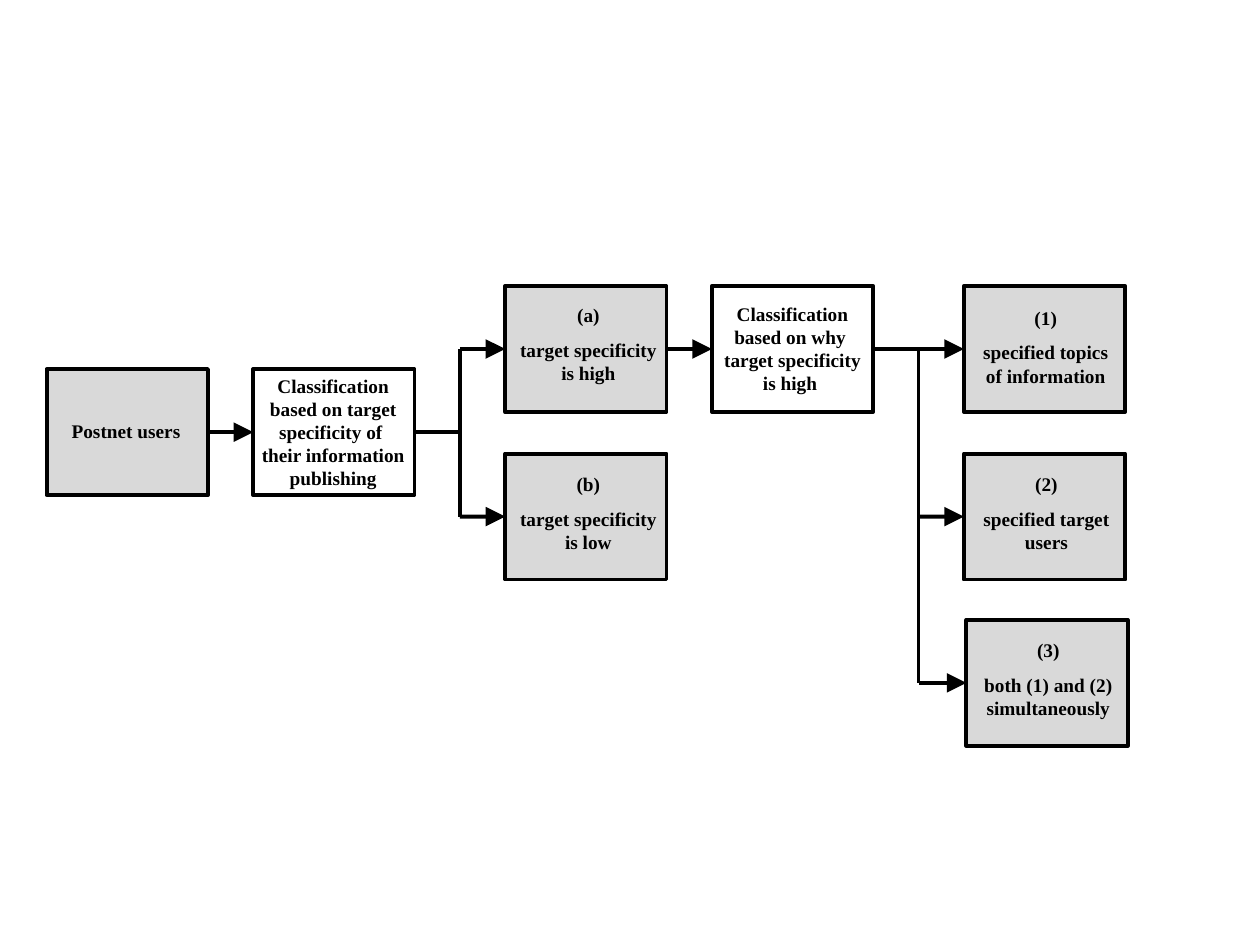
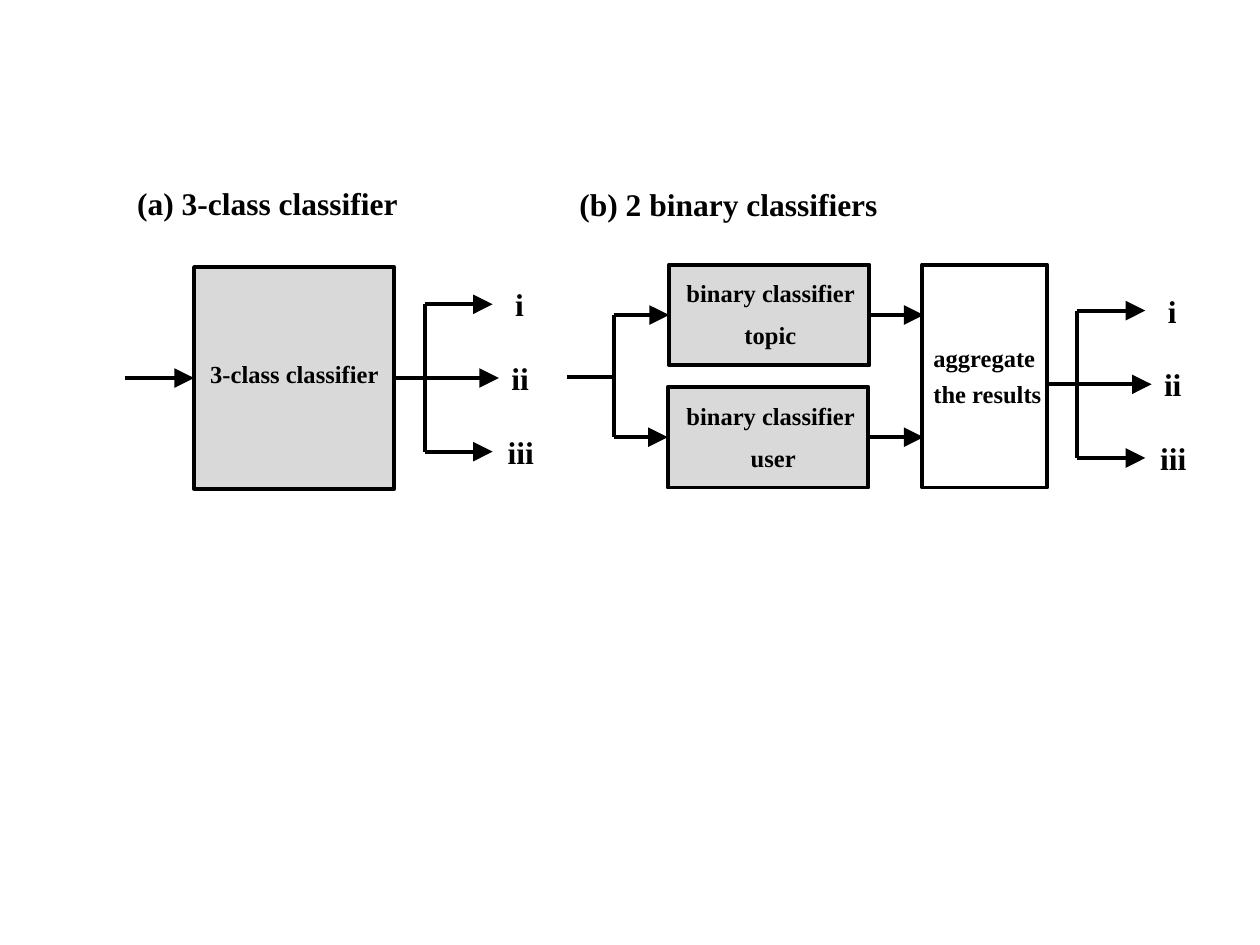
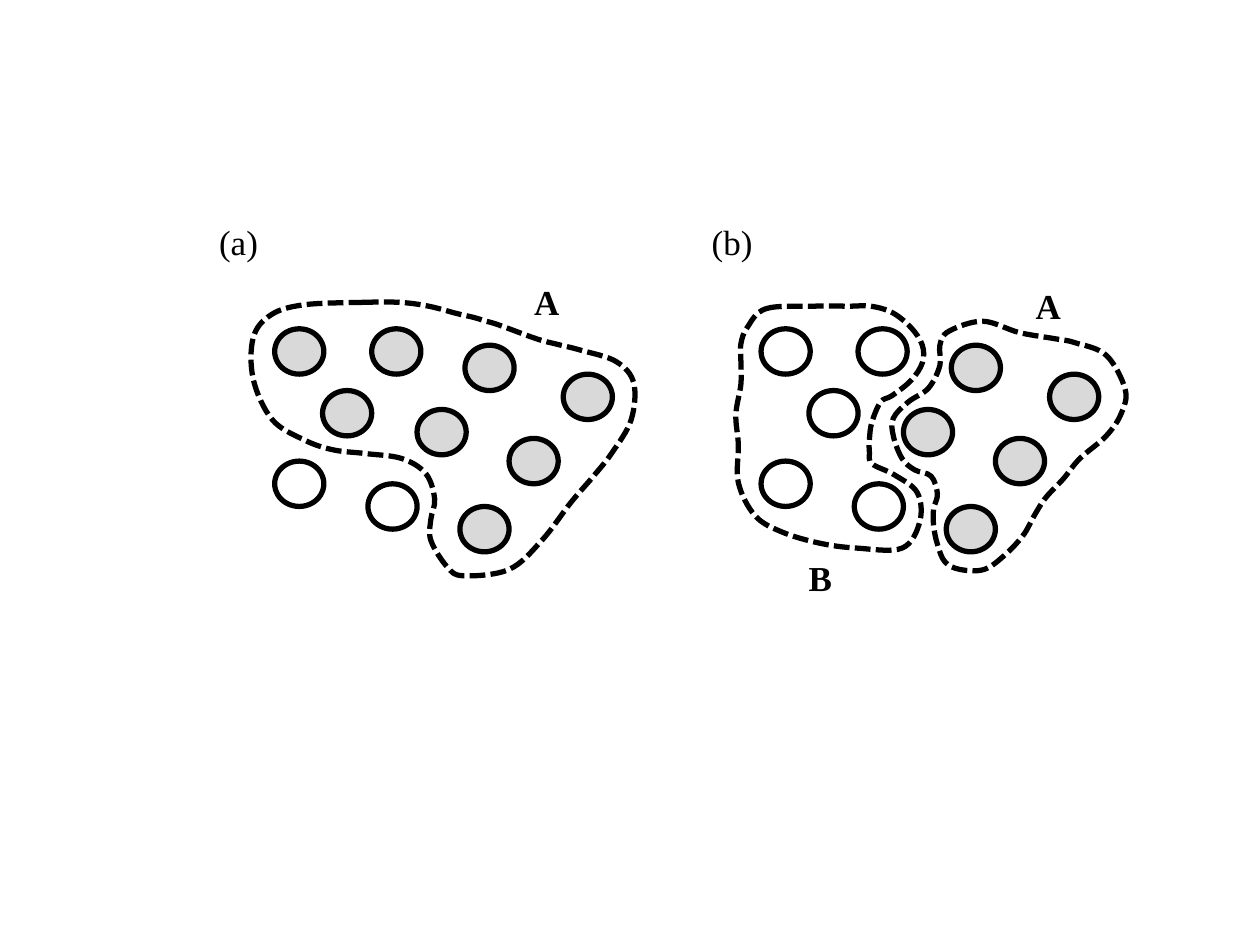
from dataclasses import dataclass
from itertools import accumulate

from lxml.etree import SubElement
from pptx import Presentation
from pptx.dml.color import RGBColor
from pptx.enum.dml import MSO_LINE_DASH_STYLE as Dash
from pptx.enum.shapes import MSO_CONNECTOR as Link, MSO_SHAPE as Shape
from pptx.enum.text import MSO_AUTO_SIZE as Fit, PP_ALIGN as Align
from pptx.oxml.ns import qn
from pptx.util import Inches, Pt


@dataclass(frozen=True)
class Theme:
    font: str = "Times New Roman"
    ink: RGBColor = RGBColor(0, 0, 0)
    grey: RGBColor = RGBColor(0xD9, 0xD9, 0xD9)
    white: RGBColor = RGBColor(255, 255, 255)
    small: int = 11
    body: int = 14
    heading: int = 18
    tag: int = 20
    rule: float = 2.25
    outline: float = 3


THEME = Theme()

BOX_W, BOX_H = 1.28, 1
COLUMN_GAPS = (0.36, 0.72, 0.36, 0.72)
COLUMNS = list(accumulate(COLUMN_GAPS, lambda x, gap: x + BOX_W + gap, initial=0.37))
ROWS = (2.27, 2.93, 3.6, 4.92)
STEPS = {
    "users": (0, 1, 0, THEME.grey, (0.47, 3.28, 1.07), ["Postnet users"]),
    "by target": (1, 1, 0, None, (1.96, 2.92, 1.37),
                  ["Classification", "based on target", "specificity of ",
                   "their information", "publishing"]),
    "high": (2, 0, 0, THEME.grey, (4.02, 2.36, 1.3), ["(a)", "target specificity", "is high"]),
    "low": (2, 2, 0, THEME.grey, (4.02, 3.7, 1.3), ["(b)", "target specificity", "is low"]),
    "by reason": (3, 0, 0, None, (5.64, 2.35, 1.3),
                  ["Classification", "based on why ", "target specificity", "is high "]),
    "topics": (4, 0, 0, THEME.grey, (7.7, 2.38, 1.2),
               ["(1)", "specified topics", "of information"]),
    "targets": (4, 2, 0, THEME.grey, (7.7, 3.7, 1.21), ["(2)", "specified target", "users"]),
    "both": (4, 3, 0.02, THEME.grey, (7.7, 5.02, 1.24),
             ["(3)", "both (1) and (2)", "simultaneously"]),
}

HEADINGS = [("(a) 3-class classifier", 0.99, 1.41, 2.29),
            ("(b) 2 binary classifiers", 4.5, 1.42, 2.59)]
CLASSES = [("i", 0.62, 0.27, 0.54), ("ii", 0.59, 0.34, 0.59), ("iii", 0.56, 0.41, 0.54)]
CLASS_SPAN = 1.17
BINARY = [("topic", 5.31, 2.1, 5.81, 2.49, 0.62), ("user", 5.3, 3.07, 5.86, 3.47, 0.56)]

PANEL_SHIFT = 3.86
DOTS = [(2.18, 2.61), (2.56, 3.1), (2.95, 2.61), (3.31, 3.25), (3.69, 2.74),
        (2.92, 3.84), (2.18, 3.66), (4.04, 3.48), (3.65, 4.02), (4.47, 2.97)]
GREY_DOTS = [{0, 1, 2, 3, 4, 7, 8, 9}, {3, 4, 7, 8, 9}]
TAGS = [("A", 4.14, 2.18, 0.42, True), ("A", 8.12, 2.21, 0.42, True),
        ("B", 6.32, 4.37, 0.39, True),
        ("(a)", 1.64, 1.7, 0.51, False), ("(b)", 5.55, 1.7, 0.53, False)]
REGIONS = [
    [(2.88, 2.4), (3.17, 2.4), (3.4, 2.43), (3.63, 2.49), (3.76, 2.52), (3.86, 2.55),
     (3.96, 2.58), (4.26, 2.69), (4.41, 2.73), (4.61, 2.78), (4.89, 2.87), (5.03, 3.04),
     (5.01, 3.33), (4.86, 3.59), (4.71, 3.78), (4.53, 3.99), (4.3, 4.29), (4.04, 4.52),
     (3.68, 4.57), (3.55, 4.5), (3.42, 4.29), (3.42, 4.12), (3.45, 3.96), (3.38, 3.76),
     (3.19, 3.64), (2.9, 3.6), (2.64, 3.57), (2.41, 3.49), (2.16, 3.33), (2.01, 3.01),
     (2.01, 2.68), (2.15, 2.5), (2.41, 2.42)],
    [(6.08, 2.45), (6.46, 2.43), (6.74, 2.43), (6.91, 2.43), (7.08, 2.48), (7.23, 2.6),
     (7.32, 2.74), (7.32, 2.88), (7.23, 3.02), (7.08, 3.14), (6.99, 3.19), (6.92, 3.35),
     (6.9, 3.49), (6.9, 3.59), (6.92, 3.68), (7.1, 3.77), (7.28, 3.91), (7.3, 4.14),
     (7.16, 4.35), (6.8, 4.35), (6.5, 4.31), (6.2, 4.22), (5.99, 4.09), (5.86, 3.83),
     (5.86, 3.53), (5.84, 3.29), (5.88, 3.05), (5.88, 2.86), (5.88, 2.73), (5.93, 2.6)],
    [(7.8, 2.55), (8.09, 2.64), (8.38, 2.69), (8.53, 2.72), (8.78, 2.82), (8.93, 3.09),
     (8.9, 3.28), (8.78, 3.46), (8.57, 3.64), (8.44, 3.8), (8.3, 3.95), (8.21, 4.09),
     (8.12, 4.25), (7.97, 4.41), (7.81, 4.52), (7.62, 4.52), (7.5, 4.46), (7.44, 4.32),
     (7.41, 4.17), (7.41, 4.04), (7.44, 3.92), (7.39, 3.78), (7.26, 3.73), (7.16, 3.64),
     (7.09, 3.46), (7.09, 3.32), (7.21, 3.19), (7.37, 3.08), (7.46, 2.9), (7.46, 2.74),
     (7.53, 2.63)],
]


def paint(figure, fill, width):
    figure.shadow.inherit = False
    if fill is None:
        figure.fill.background()
    else:
        figure.fill.solid()
        figure.fill.fore_color.rgb = fill
    figure.line.color.rgb = THEME.ink
    figure.line.width = Pt(width)


def figure(slide, kind, left, top, width, height, fill=None, line=THEME.rule):
    added = slide.shapes.add_shape(kind, *map(Inches, (left, top, width, height)))
    paint(added, fill, line)
    return added


def label(slide, lines, left, top, width, size=THEME.body, bold=True, align=Align.LEFT,
          spacing=None):
    spacing = spacing or [1] * len(lines)
    height = 0.1 + size * 0.017 * sum(spacing)
    box = slide.shapes.add_textbox(*map(Inches, (left, top, width, height)))
    frame = box.text_frame
    frame.word_wrap = False
    frame.auto_size = Fit.SHAPE_TO_FIT_TEXT
    for index, (line, leading) in enumerate(zip(lines, spacing)):
        paragraph = frame.paragraphs[0] if index == 0 else frame.add_paragraph()
        paragraph.alignment = align
        if leading != 1:
            paragraph.line_spacing = leading
        run = paragraph.add_run()
        run.text = line
        run.font.name = THEME.font
        run.font.size = Pt(size)
        run.font.bold = bold
        run.font.color.rgb = THEME.ink


def link(slide, start, end, arrow=True):
    ends = [node if isinstance(node, tuple) else (0, 0) for node in (start, end)]
    connector = slide.shapes.add_connector(
        Link.STRAIGHT, *(Inches(length) for point in ends for length in point))
    if not isinstance(start, tuple):
        connector.begin_connect(start, 3)
    if not isinstance(end, tuple):
        connector.end_connect(end, 1)
    connector.line.color.rgb = THEME.ink
    connector.line.width = Pt(THEME.rule)
    if arrow:
        SubElement(connector.line._get_or_add_ln(), qn("a:tailEnd"),
                   type="triangle", w="lg", len="lg")
    SubElement(connector._element.spPr, qn("a:effectLst"))


def fork(slide, trunk, levels, targets):
    link(slide, (trunk, levels[0]), (trunk, levels[-1]), arrow=False)
    for level, target in zip(levels[-len(targets):], targets):
        link(slide, (trunk, level), target)


def class_outputs(slide, source, trunk, middle):
    levels = [middle + CLASS_SPAN * share for share in (-0.5, 0, 0.5)]
    tips = [(trunk + reach, level) for (*_, reach), level in zip(CLASSES, levels)]
    link(slide, source, tips[1])
    fork(slide, trunk, levels[::2], tips[::2])
    for (name, offset, width, _), level in zip(CLASSES, levels):
        label(slide, [name], trunk + offset, level - 0.2, width, size=THEME.heading)


def bend(outline):
    corners = list(outline._element.iter(qn("a:pt")))[:-1]
    points = [(int(corner.get("x")), int(corner.get("y"))) for corner in corners]
    for index, segment in enumerate(list(outline._element.iter(qn("a:lnTo")))):
        before, start, end, after = (points[(index + shift) % len(points)]
                                     for shift in (-1, 0, 1, 2))
        leaving = [s + (e - b) / 6 for b, s, e in zip(before, start, end)]
        arriving = [e - (a - s) / 6 for s, e, a in zip(start, end, after)]
        curve = SubElement(segment.getparent(), qn("a:cubicBezTo"))
        for x, y in (leaving, arriving, end):
            SubElement(curve, qn("a:pt"), x=str(round(x)), y=str(round(y)))
        segment.getparent().replace(segment, curve)


def region(slide, anchors):
    first, *others = [tuple(map(Inches, anchor)) for anchor in anchors]
    builder = slide.shapes.build_freeform(*first, scale=1.0)
    builder.add_line_segments([*others, first], close=True)
    outline = builder.convert_to_shape()
    bend(outline)
    paint(outline, None, THEME.outline)
    outline.line.dash_style = Dash.SQUARE_DOT


def user_classification(slide):
    boxes = {}
    for name, (column, row, shift, fill, *_) in STEPS.items():
        boxes[name] = figure(slide, Shape.RECTANGLE, COLUMNS[column] + shift, ROWS[row],
                             BOX_W, BOX_H, fill)

    middle = [top + BOX_H / 2 for top in ROWS]
    first_trunk, second_trunk = (COLUMNS[column] - 0.36 for column in (2, 4))
    link(slide, boxes["users"], boxes["by target"])
    link(slide, boxes["by target"], (first_trunk, middle[1]), arrow=False)
    fork(slide, first_trunk, middle[0:3:2], [boxes["high"], boxes["low"]])
    link(slide, boxes["high"], boxes["by reason"])
    link(slide, boxes["by reason"], boxes["topics"])
    fork(slide, second_trunk, [middle[0], *middle[2:]], [boxes["targets"], boxes["both"]])

    for *_, place, lines in STEPS.values():
        label(slide, lines, *place, size=THEME.small,
              align=Align.CENTER if len(lines) > 1 else Align.LEFT,
              spacing=(1, 1.5, 1) if len(lines) == 3 else None)


def classifier_designs(slide):
    three_class = figure(slide, Shape.RECTANGLE, 1.54, 2.12, 1.59, 1.76, THEME.grey)
    label(slide, ["3-class classifier"], 1.57, 2.8, 1.55)
    link(slide, (0.99, 3), three_class)
    class_outputs(slide, three_class, 3.37, 3)

    classifiers, levels = [], []
    for subject, left, top, subject_left, subject_top, width in BINARY:
        classifier = figure(slide, Shape.RECTANGLE, left, top, 1.59, 0.8, THEME.grey)
        label(slide, ["binary classifier"], 5.35, top + 0.06, 1.56)
        label(slide, [subject], subject_left, subject_top, width)
        link(slide, classifier, (7.33, top + 0.4))
        classifiers.append(classifier)
        levels.append(top + 0.4)
    link(slide, (4.5, 2.99), (4.87, 2.99), arrow=False)
    fork(slide, 4.87, levels, classifiers)
    figure(slide, Shape.RECTANGLE, 7.32, 2.1, 0.99, 1.77, THEME.white)
    label(slide, ["aggregate", "the results"], 7.31, 2.63, 1.07, spacing=(1.2, 1.2))
    class_outputs(slide, (8.31, 3.05), 8.55, 3.05)

    for heading, *place in HEADINGS:
        label(slide, [heading], *place, size=THEME.heading)


def dot_groups(slide):
    for panel, grey_dots in enumerate(GREY_DOTS):
        for index, (left, top) in enumerate(DOTS):
            fill = THEME.grey if index in grey_dots else THEME.white
            figure(slide, Shape.OVAL, left + PANEL_SHIFT * panel, top, 0.39, 0.36, fill,
                   line=THEME.outline)
    for anchors in REGIONS:
        region(slide, anchors)
    for tag, *place, bold in TAGS:
        label(slide, [tag], *place, size=THEME.tag, bold=bold)


def main():
    deck = Presentation()
    deck.slide_width, deck.slide_height = Inches(10), Inches(7.5)
    for draw in (user_classification, classifier_designs, dot_groups):
        draw(deck.slides.add_slide(deck.slide_layouts[6]))
    deck.save("out.pptx")


if __name__ == "__main__":
    main()
